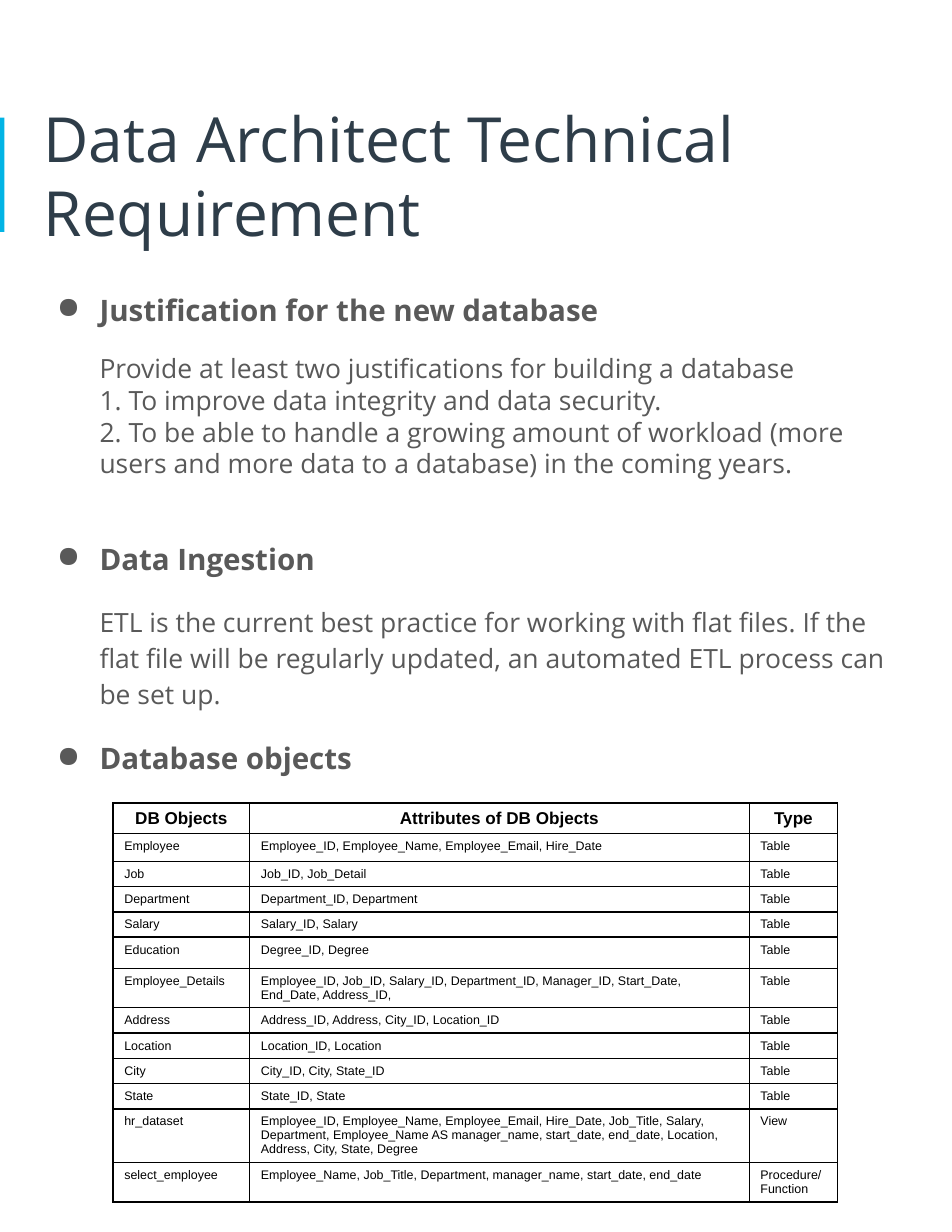
from lxml import etree
from pptx import Presentation
from pptx.dml.color import RGBColor
from pptx.enum.shapes import MSO_SHAPE
from pptx.enum.text import MSO_ANCHOR, MSO_AUTO_SIZE, PP_ALIGN
from pptx.oxml.ns import qn
from pptx.util import Inches, Pt

RECT = MSO_SHAPE.RECTANGLE
MIDDLE, TOP = MSO_ANCHOR.MIDDLE, MSO_ANCHOR.TOP
NO_FIT = MSO_AUTO_SIZE.NONE
LEFT, CENTER = PP_ALIGN.LEFT, PP_ALIGN.CENTER
CYAN = RGBColor(0x02, 0xB4, 0xE5)
NAVY = RGBColor(0x2E, 0x3D, 0x49)
GRAY = RGBColor(0x59, 0x59, 0x59)
BLACK = RGBColor(0, 0, 0)


def write(para, text, size, color, font="Open Sans", bold=False, align=LEFT,
          before=0, spacing=1.0):
    para.text = text
    para.alignment = align
    para.space_before = Pt(before)
    para.line_spacing = spacing
    for run in para.runs:
        run.font.name = font
        run.font.size = Pt(size)
        run.font.bold = bold
        run.font.color.rgb = color


def frame_up(cell):
    props = cell._tc.get_or_add_tcPr()
    for side in ("a:lnL", "a:lnR", "a:lnT", "a:lnB"):
        line = etree.SubElement(props, qn(side), w=str(Pt(1)))
        fill = etree.SubElement(line, qn("a:solidFill"))
        etree.SubElement(fill, qn("a:srgbClr"), val=str(BLACK))


prs = Presentation()
prs.slide_width, prs.slide_height = Inches(8.5), Inches(11)
slide = prs.slides.add_slide(prs.slide_layouts[5])

# Accent bar
bar = slide.shapes.add_shape(RECT, 0, Inches(1.05), Inches(0.04), Inches(1.02))
bar.shadow.inherit = False
bar.fill.solid()
bar.fill.fore_color.rgb = CYAN
bar.line.fill.background()

# Title and body boxes
title = slide.shapes.title
title.left, title.top = Inches(0.29), Inches(0.95)
title.width, title.height = Inches(7.92), Inches(1.22)
body = slide.shapes.add_textbox(Inches(0.29), Inches(2.46),
                                Inches(7.92), Inches(8.46))
for box, anchor in ((title, MIDDLE), (body, TOP)):
    frame = box.text_frame
    frame.word_wrap = True
    frame.auto_size = NO_FIT
    frame.vertical_anchor = anchor
    frame.margin_left = frame.margin_right = Inches(0.1)
    frame.margin_top = frame.margin_bottom = Inches(0.1)
write(title.text_frame.paragraphs[0], "Data Architect Technical Requirement",
      40, NAVY)

# Body: heading, space before it, text below it, line spacing of that text
parts = [
    ("Justification for the new database", 0,
     "Provide at least two justifications for building a database\v"
     "1. To improve data integrity and data security.\v"
     "2. To be able to handle a growing amount of workload (more users and "
     "more data to a database) in the coming years.", 1.0),
    ("Data Ingestion", 36,
     "ETL is the current best practice for working with flat files. If the "
     "flat file will be regularly updated, an automated ETL process can be "
     "set up.", 1.15),
    ("Database objects", 16, None, None),
]
frame = body.text_frame
for num, (head, gap, text, spacing) in enumerate(parts):
    para = frame.add_paragraph() if num else frame.paragraphs[0]
    write(para, head, 19, GRAY, bold=True, before=gap, spacing=1.15)
    props = para._p.get_or_add_pPr()
    props.set("marL", str(Inches(0.5)))
    props.set("indent", str(Inches(-0.38)))
    color = etree.SubElement(props, qn("a:buClr"))
    etree.SubElement(color, qn("a:srgbClr"), val=str(GRAY))
    etree.SubElement(props, qn("a:buChar"), char="●")
    if text:
        para = frame.add_paragraph()
        write(para, text, 17, GRAY, before=16, spacing=spacing)
        para._p.get_or_add_pPr().set("marL", str(Inches(0.5)))

# Table of database objects: row height, name, attributes, type
rows = [
    (0.27, "DB Objects", "Attributes of DB Objects", "Type"),
    (0.25, "Employee",
     "Employee_ID, Employee_Name, Employee_Email, Hire_Date", "Table"),
    (0.22, "Job", "Job_ID, Job_Detail", "Table"),
    (0.22, "Department", "Department_ID, Department", "Table"),
    (0.22, "Salary", "Salary_ID, Salary", "Table"),
    (0.28, "Education", "Degree_ID, Degree", "Table"),
    (0.35, "Employee_Details",
     "Employee_ID, Job_ID, Salary_ID, Department_ID, Manager_ID, "
     "Start_Date, End_Date, Address_ID,", "Table"),
    (0.22, "Address", "Address_ID, Address, City_ID, Location_ID", "Table"),
    (0.22, "Location", "Location_ID, Location", "Table"),
    (0.22, "City", "City_ID, City, State_ID", "Table"),
    (0.22, "State", "State_ID, State", "Table"),
    (0.48, "hr_dataset",
     "Employee_ID, Employee_Name, Employee_Email, Hire_Date, Job_Title, "
     "Salary, Department, Employee_Name AS manager_name, start_date, "
     "end_date, Location, Address, City, State, Degree", "View"),
    (0.35, "select_employee",
     "Employee_Name, Job_Title, Department, manager_name, start_date, "
     "end_date", "Procedure/Function"),
]
table = slide.shapes.add_table(len(rows), 3, Inches(1.01), Inches(7.17),
                               Inches(6.47), Inches(3.52)).table
table.horz_banding = False
for col, width in zip(table.columns, (1.22, 4.46, 0.79)):
    col.width = Inches(width)
for r, (height, *texts) in enumerate(rows):
    table.rows[r].height = Inches(height)
    look = {"size": 8} if r else {"size": 11, "bold": True, "align": CENTER}
    for c, text in enumerate(texts):
        cell = table.cell(r, c)
        cell.margin_left = cell.margin_right = Inches(0.1)
        cell.margin_top = cell.margin_bottom = Inches(0.05)
        frame_up(cell)
        cell.fill.background()
        write(cell.text_frame.paragraphs[0], text, color=BLACK, font="Arial",
              **look)

prs.save("out.pptx")
